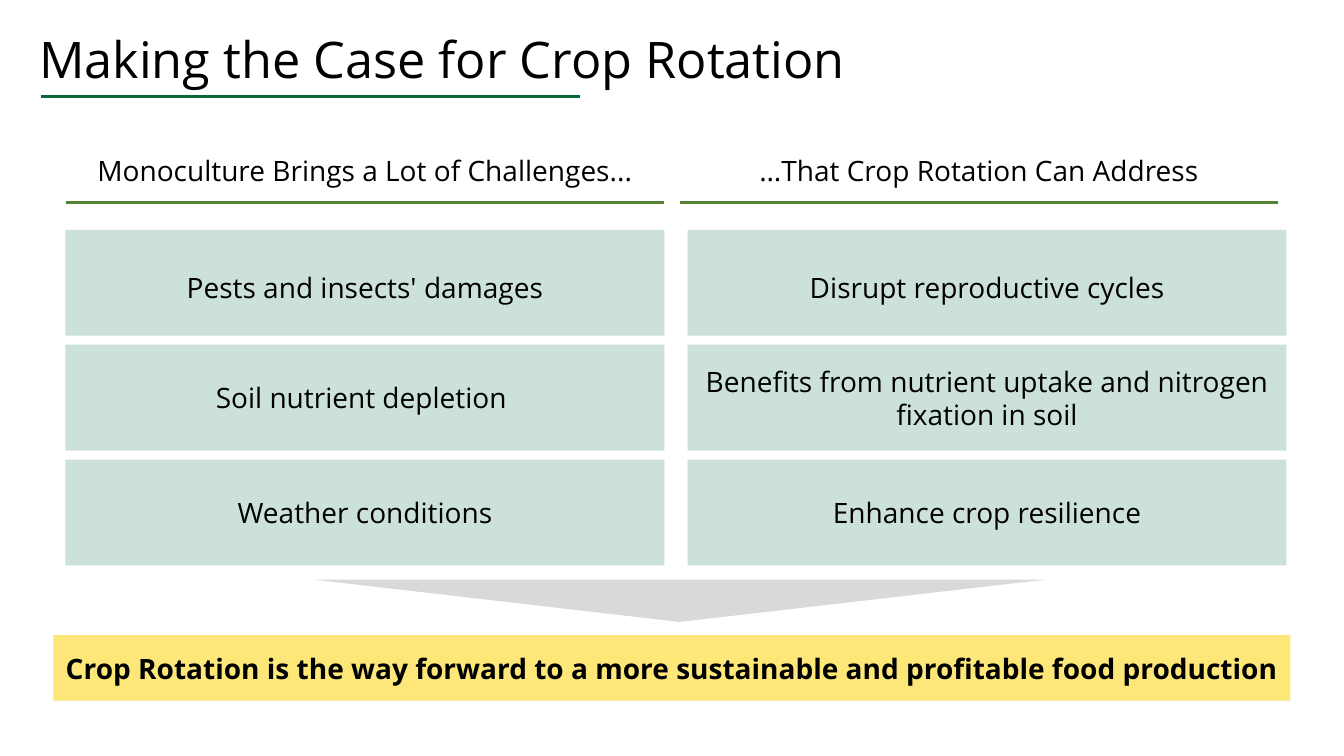
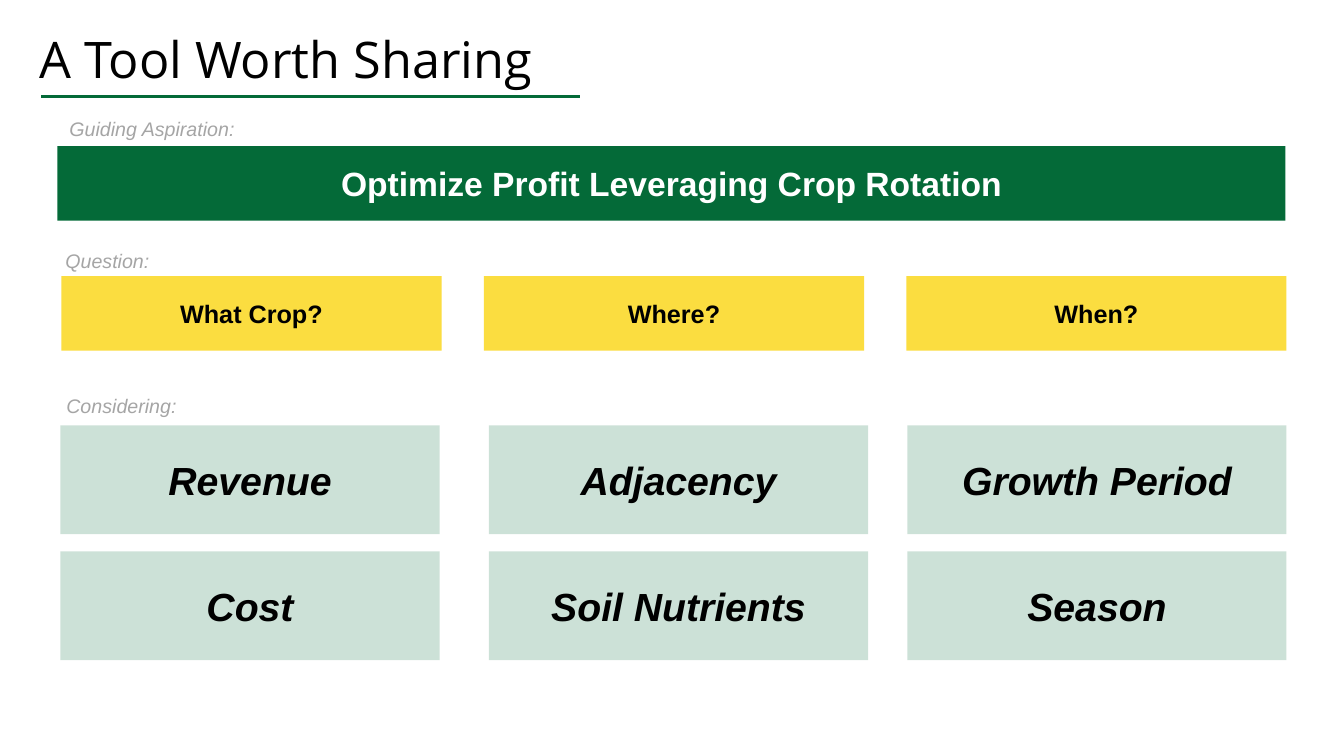
from lxml import etree
from pptx import Presentation
from pptx.dml.color import RGBColor
from pptx.enum import shapes, text
from pptx.oxml.ns import qn
from pptx.util import Inches, Pt

COLORS = {
    "green": "046A38",
    "rule": "548235",
    "yellow": "FBDD40",
    "gray": "D9D9D9",
    "label": "A5A5A5",
    "black": "000000",
    "white": "FFFFFF",
}
OPEN_SANS = "Open Sans"
ARIAL = "Arial"
CENTER = text.PP_ALIGN.CENTER
LEFT = text.PP_ALIGN.LEFT


def rgb(name):
    return RGBColor.from_string(COLORS[name])


def write(shape, words, size, font, color="black", bold=False, italic=False,
          align=CENTER, anchor=text.MSO_ANCHOR.MIDDLE, spacing=None):
    frame = shape.text_frame
    frame.text = words
    frame.word_wrap = True
    frame.auto_size = text.MSO_AUTO_SIZE.NONE
    frame.vertical_anchor = anchor
    paragraph = frame.paragraphs[0]
    paragraph.alignment = align
    paragraph.line_spacing = spacing
    paragraph.font.name = font
    paragraph.font.size = Pt(size)
    paragraph.font.bold = bold
    paragraph.font.italic = italic
    paragraph.font.color.rgb = rgb(color)


def add_block(slide, left, top, width, height, fill, opacity=100,
              kind=shapes.MSO_SHAPE.RECTANGLE):
    shape = slide.shapes.add_shape(
        kind, Inches(left), Inches(top), Inches(width), Inches(height))
    shape.shadow.inherit = False
    shape.fill.solid()
    shape.fill.fore_color.rgb = rgb(fill)
    if opacity < 100:
        color = shape.element.spPr.find(".//" + qn("a:srgbClr"))
        etree.SubElement(color, qn("a:alpha"), val=str(opacity * 1000))
    shape.line.fill.background()
    return shape


def add_rule(container, left, top, width, color):
    line = container.shapes.add_connector(
        shapes.MSO_CONNECTOR.STRAIGHT, Inches(left), Inches(top),
        Inches(left + width), Inches(top))
    line.line.color.rgb = rgb(color)
    line.line.width = Pt(2.25)
    etree.SubElement(line.element.spPr, qn("a:effectLst"))
    return line


def add_column_heading(slide, left, words):
    group = slide.shapes.add_group_shape()
    box = group.shapes.add_textbox(
        Inches(left), Inches(0.99), Inches(5.94), Inches(1.45))
    write(box, words, 20, OPEN_SANS, spacing=0.9)
    add_rule(group, left, 2.01, 5.94, "rule")


def add_label(slide, left, top, words):
    box = slide.shapes.add_textbox(
        Inches(left), Inches(top), Inches(2.3), Inches(0.34))
    write(box, words, 14, ARIAL, "label", italic=True, align=LEFT,
          anchor=text.MSO_ANCHOR.BOTTOM)


def prepare_layout(presentation):
    layout = presentation.slide_layouts.get_by_name("Title Only")
    title = layout.placeholders[0]
    title.left, title.top = Inches(0.29), Inches(-0.11)
    title.width, title.height = Inches(11.5), Inches(1.45)
    return layout


def add_slide(presentation, layout, title):
    slide = presentation.slides.add_slide(layout)
    write(slide.shapes.title, title, 36, OPEN_SANS, align=LEFT, spacing=0.9)
    return slide


def build_case(slide):
    columns = [
        (0.65, 0.65, "Monoculture Brings a Lot of Challenges...",
         ["Pests and insects' damages", "Soil nutrient depletion ",
          "Weather conditions"]),
        (6.74, 6.82, "…That Crop Rotation Can Address",
         ["Disrupt reproductive cycles",
          "Benefits from nutrient uptake and nitrogen fixation in soil",
          "Enhance crop resilience"]),
    ]
    for heading_left, block_left, heading, points in columns:
        add_column_heading(slide, heading_left, heading)
        for row, point in enumerate(points):
            block = add_block(slide, block_left, 2.28 + 1.14 * row, 5.94, 1.05,
                              "green", 20)
            write(block, point, 20, OPEN_SANS)
            if row == 0:
                block.text_frame.margin_top = Inches(0.13)

    conclusion = add_block(slide, 0.53, 6.3, 12.27, 0.65, "yellow", 70)
    write(conclusion, "Crop Rotation is the way forward to a more sustainable "
          "and profitable food production", 20, OPEN_SANS, bold=True)
    arrow = add_block(slide, 3.11, 5.75, 7.26, 0.42, "gray",
                      kind=shapes.MSO_SHAPE.ISOSCELES_TRIANGLE)
    arrow.rotation = 180


def build_tool(slide):
    aspiration = add_block(slide, 0.57, 1.45, 12.18, 0.74, "green")
    write(aspiration, "Optimize Profit Leveraging Crop Rotation", 24, ARIAL,
          "white", bold=True)
    add_label(slide, 0.59, 1.1, "Guiding Aspiration:")
    add_label(slide, 0.55, 2.41, "Question:")
    add_label(slide, 0.56, 3.85, "Considering:")

    columns = [
        (0.61, 0.6, "What Crop?", ["Revenue", "Cost"]),
        (4.8, 4.85, "Where?", ["Adjacency", "Soil Nutrients"]),
        (8.99, 9.0, "When?", ["Growth Period", "Season"]),
    ]
    for question_left, factor_left, question, factors in columns:
        block = add_block(slide, question_left, 2.74, 3.77, 0.74, "yellow")
        write(block, question, 18, ARIAL, bold=True)
        for row, factor in enumerate(factors):
            block = add_block(slide, factor_left, 4.22 + 1.25 * row, 3.76, 1.08,
                              "green", 20)
            write(block, factor, 28, ARIAL, bold=True, italic=True)


def main():
    presentation = Presentation()
    presentation.slide_width = Inches(13.33)
    presentation.slide_height = Inches(7.5)
    layout = prepare_layout(presentation)

    case = add_slide(presentation, layout, "Making the Case for Crop Rotation")
    title_rule = add_rule(case, 0.41, 0.96, 5.34, "green")
    layout.shapes.element.append(title_rule.element)
    build_case(case)
    build_tool(add_slide(presentation, layout, "A Tool Worth Sharing"))

    presentation.save("out.pptx")


if __name__ == "__main__":
    main()
